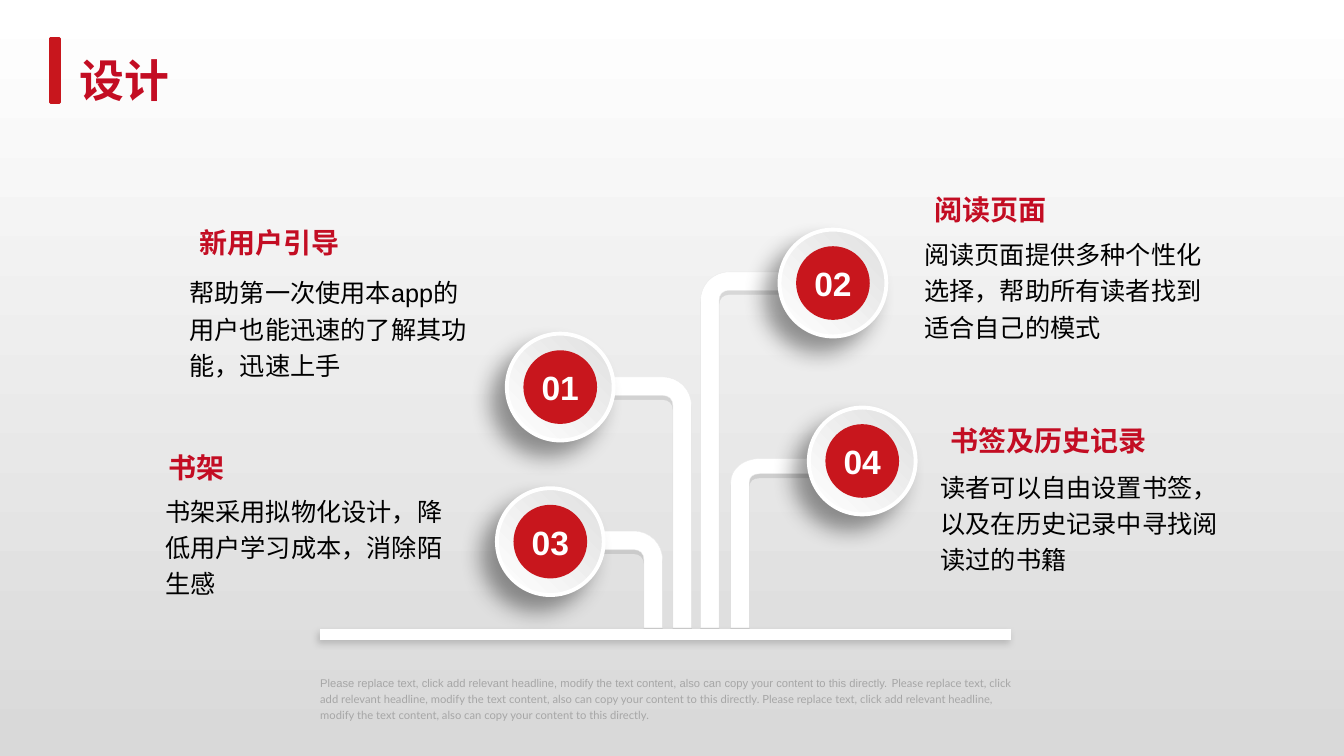
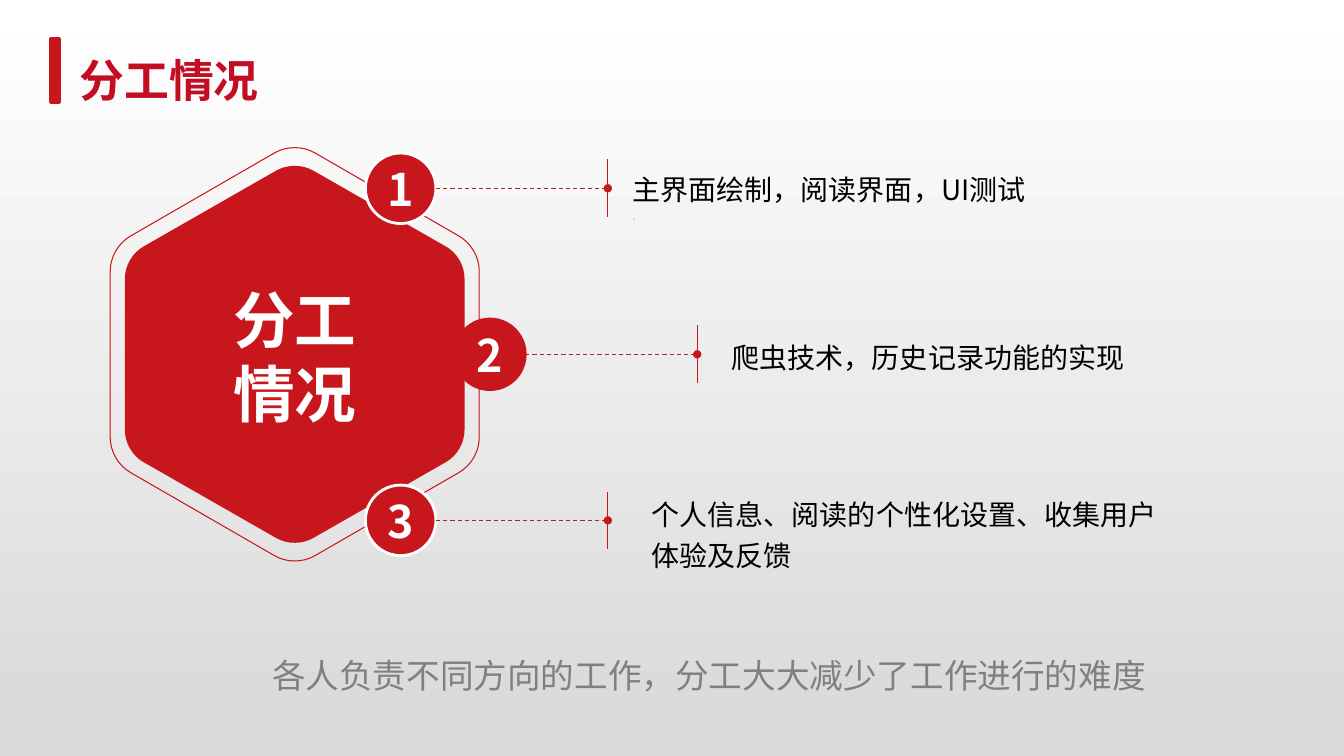
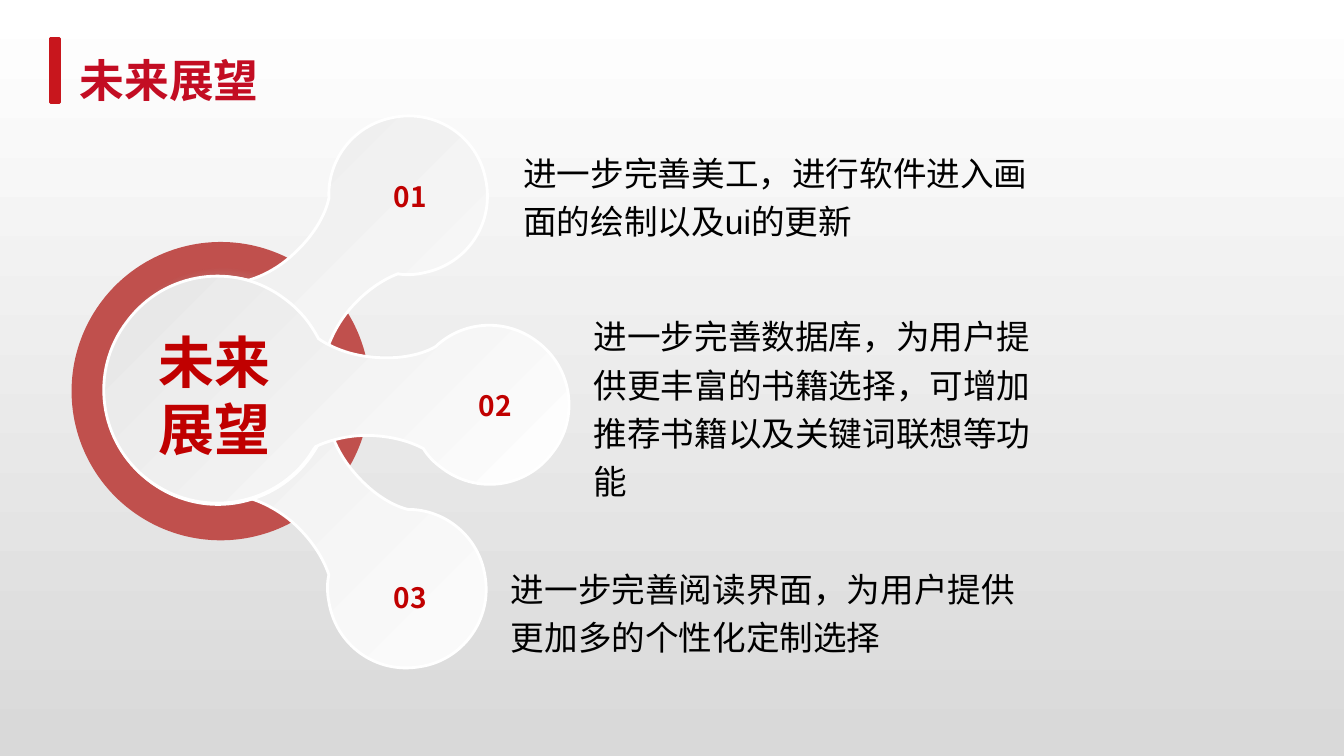
"""Build three red and grey slides on design, division of work and outlook."""
from lxml import etree
from pptx import Presentation
from pptx import util as u
from pptx.dml.color import RGBColor
from pptx.enum import dml, shapes, text
from pptx.oxml.ns import qn

RED, TITLE_RED, DEEP_RED, RING_RED = "C8161D", "C30D23", "C00000", "C0504D"
WHITE, BLACK, GREY, PALE_GREY = "FFFFFF", "000000", "808080", "A6A6A6"
CJK = "Noto Sans CJK SC"
CENTER, JUSTIFY = text.PP_ALIGN.CENTER, text.PP_ALIGN.JUSTIFY


def color(value):
    """Turn a hex string into a colour."""
    return RGBColor.from_string(value)


def add_element(parent, tag, **attributes):
    """Append a drawing element to its parent."""
    return etree.SubElement(parent, qn(tag), {key: str(value) for key, value in attributes.items()})


def add_color(parent, value, alpha):
    """Append a colour with an opacity in percent."""
    element = add_element(parent, "a:srgbClr", val=value)
    if alpha < 100:
        add_element(element, "a:alpha", val=alpha * 1000)


def set_gradient(fill, start, end, angle, stop=1.0):
    """Give a fill a linear gradient whose angle runs clockwise."""
    fill.gradient()
    fill.gradient_angle = 360 - angle
    for gradient_stop, value, position in zip(fill.gradient_stops, (start, end), (0.0, stop)):
        gradient_stop.color.rgb = color(value)
        gradient_stop.position = position


def set_circle_gradient(shape, stops, focus):
    """Give a shape a circular gradient of (position, hex, opacity) stops."""
    shape.fill.gradient()
    gradient = shape._element.spPr.find(qn("a:gradFill"))
    for child in list(gradient):
        gradient.remove(child)
    stop_list = add_element(gradient, "a:gsLst")
    for position, value, alpha in stops:
        add_color(add_element(stop_list, "a:gs", pos=position * 1000), value, alpha)
    sides = {side: percent * 1000 for side, percent in zip("ltrb", focus)}
    add_element(add_element(gradient, "a:path", path="circle"), "a:fillToRect", **sides)


def set_effects(shape, shadow=None):
    """Set the shadow as opacity, blur, distance and direction, or none."""
    effects = add_element(shape._element.spPr, "a:effectLst")
    if shadow:
        alpha, blur, distance, direction = shadow
        outer = add_element(effects, "a:outerShdw", blurRad=u.Pt(blur), dist=u.Pt(distance),
                            dir=direction * 60000, algn="ctr", rotWithShape=0)
        add_color(outer, BLACK, alpha)


def write_text(frame, content, size=18, font="Arial", ink=BLACK, bold=False, align=None,
               spacing=None, inset=(0, 0), anchor=text.MSO_ANCHOR.TOP, wrap=True):
    """Write a string, or paragraphs of (string, overrides) runs, into a text frame."""
    frame.word_wrap = wrap
    frame.vertical_anchor = anchor
    frame.margin_left = frame.margin_right = u.Pt(inset[0])
    frame.margin_top = frame.margin_bottom = u.Pt(inset[1])
    paragraphs = [[(content, {})]] if isinstance(content, str) else content
    for index, runs in enumerate(paragraphs):
        paragraph = frame.add_paragraph() if index else frame.paragraphs[0]
        paragraph.alignment = align
        paragraph.line_spacing = spacing
        for string, overrides in runs:
            style = {"size": size, "font": font, "ink": ink, **overrides}
            run = paragraph.add_run()
            run.text = string
            run.font.size = u.Pt(style["size"])
            run.font.bold = bold
            run.font.color.rgb = color(style["ink"])
            run.font.name = style["font"]
            add_element(run.font._element, "a:ea", typeface=CJK)


def rewrite_outline(shape, outline, frame):
    """Write points and cubic curves (six numbers) as the outline inside a frame."""
    left, top, width, height = frame
    shape.left, shape.top, shape.width, shape.height = (u.Pt(value) for value in frame)
    outline_element = next(shape._element.iter(qn("a:path")))
    for child in list(outline_element):
        outline_element.remove(child)
    outline_element.set("w", str(u.Pt(width)))
    outline_element.set("h", str(u.Pt(height)))
    for index, segment in enumerate(outline):
        tag = "a:cubicBezTo" if len(segment) == 6 else "a:lnTo" if index else "a:moveTo"
        command = add_element(outline_element, tag)
        for x, y in zip(segment[::2], segment[1::2]):
            add_element(command, "a:pt", x=u.Pt(x - left), y=u.Pt(y - top))
    add_element(outline_element, "a:close")


class Deck:
    """Hold the shared style and the current slide."""

    def __init__(self):
        """Start an empty wide presentation."""
        self.presentation = Presentation()
        self.presentation.slide_width = u.Pt(960)
        self.presentation.slide_height = u.Pt(540)
        self.slide = None

    def new_slide(self, title):
        """Add a slide with background, title bar and title."""
        self.slide = self.presentation.slides.add_slide(self.presentation.slide_layouts[6])
        set_gradient(self.slide.background.fill, WHITE, "D9D9D9", 90, stop=0.99)
        self.shape(shapes.MSO_SHAPE.RECTANGLE, 36, 27.8, 6.5, 45.4, fill=RED, line=(RED, 2))
        self.text(49.7, 34.2, 15 + 32 * len(title), 46, title, size=32, ink=TITLE_RED, bold=True,
                  inset=(7.2, 3.6), wrap=False)

    def dress(self, shape, fill=None, line=None, shadow=None):
        """Set fill (hex or gradient), line (hex, width) and shadow."""
        if fill is None:
            shape.fill.background()
        elif isinstance(fill, tuple):
            set_gradient(shape.fill, *fill)
        else:
            shape.fill.solid()
            shape.fill.fore_color.rgb = color(fill)
        if line:
            shape.line.color.rgb = color(line[0])
            shape.line.width = u.Pt(line[1])
        else:
            shape.line.fill.background()
        set_effects(shape, shadow)
        return shape

    def shape(self, kind, left, top, width, height, **look):
        """Add a preset shape."""
        shape = self.slide.shapes.add_shape(kind, u.Pt(left), u.Pt(top), u.Pt(width), u.Pt(height))
        return self.dress(shape, **look)

    def circle(self, x, y, diameter, label=None, size=24, font="Arial", **look):
        """Add a circle around a centre, with an optional white label."""
        circle = self.shape(shapes.MSO_SHAPE.OVAL, x - diameter / 2, y - diameter / 2,
                            diameter, diameter, **look)
        if label:
            write_text(circle.text_frame, label, size=size, font=font, ink=WHITE, bold=True,
                       align=CENTER, anchor=text.MSO_ANCHOR.MIDDLE)
        return circle

    def freeform(self, outline, frame=None, rotation=0, **look):
        """Add a closed outline of points and curves, turned about its frame's centre."""
        ends = [segment[-2:] for segment in outline]
        if frame is None:
            columns, rows = zip(*ends)
            left, top = min(columns), min(rows)
            frame = (left, top, max(columns) - left, max(rows) - top)
        points = [(u.Pt(x), u.Pt(y)) for x, y in ends]
        builder = self.slide.shapes.build_freeform(*points[0], scale=1.0)
        builder.add_line_segments(points[1:], close=True)
        shape = builder.convert_to_shape()
        rewrite_outline(shape, outline, frame)
        shape.rotation = rotation
        return self.dress(shape, **look)

    def line(self, x1, y1, x2, y2, ink, width, dashed=False, dot=False, shadow=None):
        """Add a straight line, optionally dashed and ending in a dot."""
        line = self.slide.shapes.add_connector(shapes.MSO_CONNECTOR.STRAIGHT,
                                               u.Pt(x1), u.Pt(y1), u.Pt(x2), u.Pt(y2))
        line.line.color.rgb = color(ink)
        line.line.width = u.Pt(width)
        if dashed:
            line.line.dash_style = dml.MSO_LINE.DASH
        if dot:
            add_element(line._element.spPr.find(qn("a:ln")), "a:tailEnd", type="oval")
        set_effects(line, shadow)

    def text(self, left, top, width, height, content, **style):
        """Add a text box."""
        box = self.slide.shapes.add_textbox(u.Pt(left), u.Pt(top), u.Pt(width), u.Pt(height))
        write_text(box.text_frame, content, **style)
        box.text_frame.auto_size = text.MSO_AUTO_SIZE.SHAPE_TO_FIT_TEXT


def pipe_outline(x, top, side, thickness):
    """Outline a stem that bends left (-1) or right (1) into an arm."""
    base, arm, stem, bend, inner = 448.5, 80.6, 13.2, 20.5, 16
    scale = thickness / stem
    outline = [(arm, top), (bend, top),
               (9, top, 0, top + 9 * scale, 0, top + bend * scale),
               (0, base), (stem, base), (stem, top + bend * scale),
               (stem, top + inner * scale, inner, top + thickness, bend, top + thickness),
               (arm, top + thickness)]
    return [tuple(value if index % 2 else x + side * value for index, value in enumerate(segment))
            for segment in outline]


def hexagon_outline(x, y, half_length, half_width):
    """Outline a lying hexagon whose corners are rounded by two curves each."""
    cut, depth, handle = 0.11, 0.03, 0.1755
    corners = [(half_length, 0), (half_length / 2, half_width), (-half_length / 2, half_width),
               (-half_length, 0), (-half_length / 2, -half_width), (half_length / 2, -half_width)]
    outline = []
    for index, corner in enumerate(corners):
        before, after = corners[index - 1], corners[(index + 1) % 6]

        def toward(other, share):
            """Step from the corner towards a point."""
            return tuple(a + (b - a) * share for a, b in zip(corner, other))

        start, end, middle = toward(before, cut), toward(after, cut), toward((0, 0), depth)
        reach = [(b - a) * handle for a, b in zip(start, end)]
        outline += [start,
                    toward(before, cut * 0.7) + tuple(m - r for m, r in zip(middle, reach)) + middle,
                    tuple(m + r for m, r in zip(middle, reach)) + toward(after, cut * 0.7) + end]
    return [tuple(value + (y if index % 2 else x) for index, value in enumerate(segment))
            for segment in outline]


LOBE_CENTER = (240.5, 278.3)
LOBE_SIZE = (332.6, 162)
LOBE = [
    (105.8, 342.7),
    (70.6, 316.1, 63.4, 265, 90.7, 229.7),
    (117.4, 193.7, 168.5, 186.5, 203.8, 213.8),
    (214.6, 221.8, 221.8, 231.1, 227.5, 241.9),
    (236.9, 248.4, 249.8, 253.4, 264.2, 254.9),
    (282.2, 257, 299.5, 254.2, 311, 247.7),
    (330.5, 229, 361.4, 226.8, 383.8, 244.1),
    (409, 262.8, 414, 298.8, 394.6, 323.3),
    (375.8, 348.5, 340.6, 353.5, 315.4, 334.1),
    (310.3, 330.5, 305.3, 325.4, 302.4, 320.4),
    (291.6, 314.6, 277.2, 311, 261.4, 311),
    (247.7, 311, 234.7, 314.6, 225.4, 319),
    (223.2, 321.8, 221.8, 324.7, 219.6, 327.6),
    (193, 362.9, 141.8, 370.1, 105.8, 342.7),
]


def lobe_outline(x, y):
    """Outline the lobe pointing left around a centre."""
    center = (x + LOBE_CENTER[0], y + LOBE_CENTER[1])
    return [tuple(center[index % 2] - value for index, value in enumerate(segment)) for segment in LOBE]


def design_slide(deck):
    """Draw the branching design overview."""
    deck.new_slide("设计")
    for pipe in ((493.9, 269.3, -1, 13.2), (522, 327.6, 1, 10.8),
                 (473.2, 379.4, -1, 13.2), (500.4, 194.2, 1, 13.2)):
        deck.freeform(pipe_outline(*pipe), fill=WHITE, line=("EAEAEA", 0.25), shadow=(10, 0, 3, 90))
    for label, x, y in (("04", 615.9, 329.3), ("02", 595, 202.2),
                        ("01", 400.2, 276.5), ("03", 393.1, 386.9)):
        deck.circle(x, y, 76.3, fill=("E0E0E0", WHITE, 135), line=(WHITE, 2.75),
                    shadow=(40, 16, 14, 135))
        deck.circle(x, y, 52.6, label, fill=RED)
    deck.line(228.7, 453.2, 722, 453.2, WHITE, 7.5, shadow=(16, 5, 3, 135))
    topics = (
        ("新用户引导", 135.4, 157.7, "帮助第一次使用本app的用户也能迅速的了解其功能，迅速上手", 135.4, 194),
        ("阅读页面", 660.2, 133.9, "阅读页面提供多种个性化选择，帮助所有读者找到适合自己的模式", 660.2, 166.7),
        ("书架", 113.5, 318.2, "书架采用拟物化设计，降低用户学习成本，消除陌生感", 118, 350),
        ("书签及历史记录", 671.8, 298.8, "读者可以自由设置书签，以及在历史记录中寻找阅读过的书籍", 671.8, 332.9),
    )
    for heading, x, y, body, body_x, body_y in topics:
        deck.text(x, y, 179.3, 31.7, heading, size=20, ink=TITLE_RED, bold=True, inset=(7.2, 3.6))
        deck.text(body_x, body_y, 208.8, 78.5, body, spacing=1.2)
    sentence = ("Please replace text, click add relevant headline, modify the text content, "
                "also can copy your content to this directly.")
    deck.text(228.7, 481, 502.6, 46.8, [[(sentence, {}), (f" {sentence} {sentence}", {"font": "Lato"})]],
              size=8, ink=PALE_GREY, spacing=1.2)


def work_slide(deck):
    """Draw the hexagon with three numbered tasks."""
    deck.new_slide("分工情况")
    center_x, center_y, step = 210.5, 253.1, 118.6
    deck.freeform(hexagon_outline(center_x, center_y, 138.8, 121.3), rotation=90, fill=RED)
    deck.text(149.3, 201.6, 122.4, 106.6, "分工情况", size=44, font=CJK, ink=WHITE, bold=True, align=CENTER)
    deck.freeform(hexagon_outline(center_x, center_y, 152.2, 131.8), rotation=90, line=(RED, 0.75))
    first_task = [[("主界面绘制，阅读界面，UI测试", {})],
                  [(".", {"size": 8, "font": "Lato", "ink": PALE_GREY})]]
    tasks = ((286.2, WHITE, first_task, CJK, 451.9, 118.5, 52.6),
             (350, RED, "爬虫技术，历史记录功能的实现", "Lato", 522.7, 238.3, 28.8),
             (286.2, WHITE, "个人信息、阅读的个性化设置、收集用户体验及反馈", CJK, 465.5, 350.9, 58.3))
    for index, (x, rim, task, font, left, top, height) in enumerate(tasks):
        y = center_y + (index - 1) * step
        tick = x + 148
        deck.circle(x, y, 50.4, str(index + 1), size=32, font=CJK, fill=RED, line=(rim, 2))
        deck.line(x + 25.2, y, tick, y, RED, 0.75, dashed=True, dot=True)
        deck.line(tick, y - 20.6, tick, y + 20.6, RED, 0.75)
        deck.text(left, top, 367.2, height, task, size=20, font=font, spacing=1.2)
    deck.text(194.4, 462.2, 668.2, 32.4, "各人负责不同方向的工作，分工大大减少了工作进行的难度",
              size=24, font=CJK, ink=GREY, align=JUSTIFY, spacing=1.2)


def outlook_slide(deck):
    """Draw the ring with three lobes and the plans beside them."""
    deck.new_slide("未来展望")
    deck.circle(157.7, 279.4, 213.1, fill=RING_RED)
    halo = deck.shape(shapes.MSO_SHAPE.OVAL, 66.2, 182.2, 186.5, 188.6)
    set_circle_gradient(halo, ((33, "717171", 100), (64, "BFBFBF", 0), (100, WHITE, 0)), (50, 50, 50, 50))
    width, height = LOBE_SIZE
    for x, y, rotation in ((219.1, 337.4, 223.6), (211.8, 214.7, 131), (*LOBE_CENTER, 180)):
        lobe = deck.freeform(lobe_outline(x, y), (x - width / 2, y - height / 2, width, height),
                             rotation, line=(WHITE, 2))
        set_circle_gradient(lobe, ((0, "E6E6E6", 100), (100, WHITE, 100)), (0, 0, 100, 100))
    label_style = dict(font=CJK, ink=DEEP_RED, bold=True, align=CENTER, inset=(7.2, 3.6))
    deck.text(93.6, 230.4, 118.8, 104.4, "未来展望", size=40, **label_style)
    plans = (
        ("01", 272.9, 124.6, "进一步完善美工，进行软件进入画面的绘制以及ui的更新", 373.9, 103.3, 362.9, 69.8),
        ("02", 333.6, 273.9, "进一步完善数据库，为用户提供更丰富的书籍选择，可增加推荐书籍以及关键词联想等功能",
         424.1, 220, 313.2, 139.7),
        ("03", 272.9, 411.1, "进一步完善阅读界面，为用户提供更加多的个性化定制选择", 365, 400.3, 362.9, 69.8),
    )
    for label, x, y, plan, left, top, plan_width, plan_height in plans:
        deck.text(x, y, 40.3, 31.7, label, size=20, **label_style)
        deck.text(left, top, plan_width, plan_height, plan, size=24, spacing=1.2)


def main():
    """Build and save the presentation."""
    deck = Deck()
    design_slide(deck)
    work_slide(deck)
    outlook_slide(deck)
    deck.presentation.save("out.pptx")


if __name__ == "__main__":
    main()
